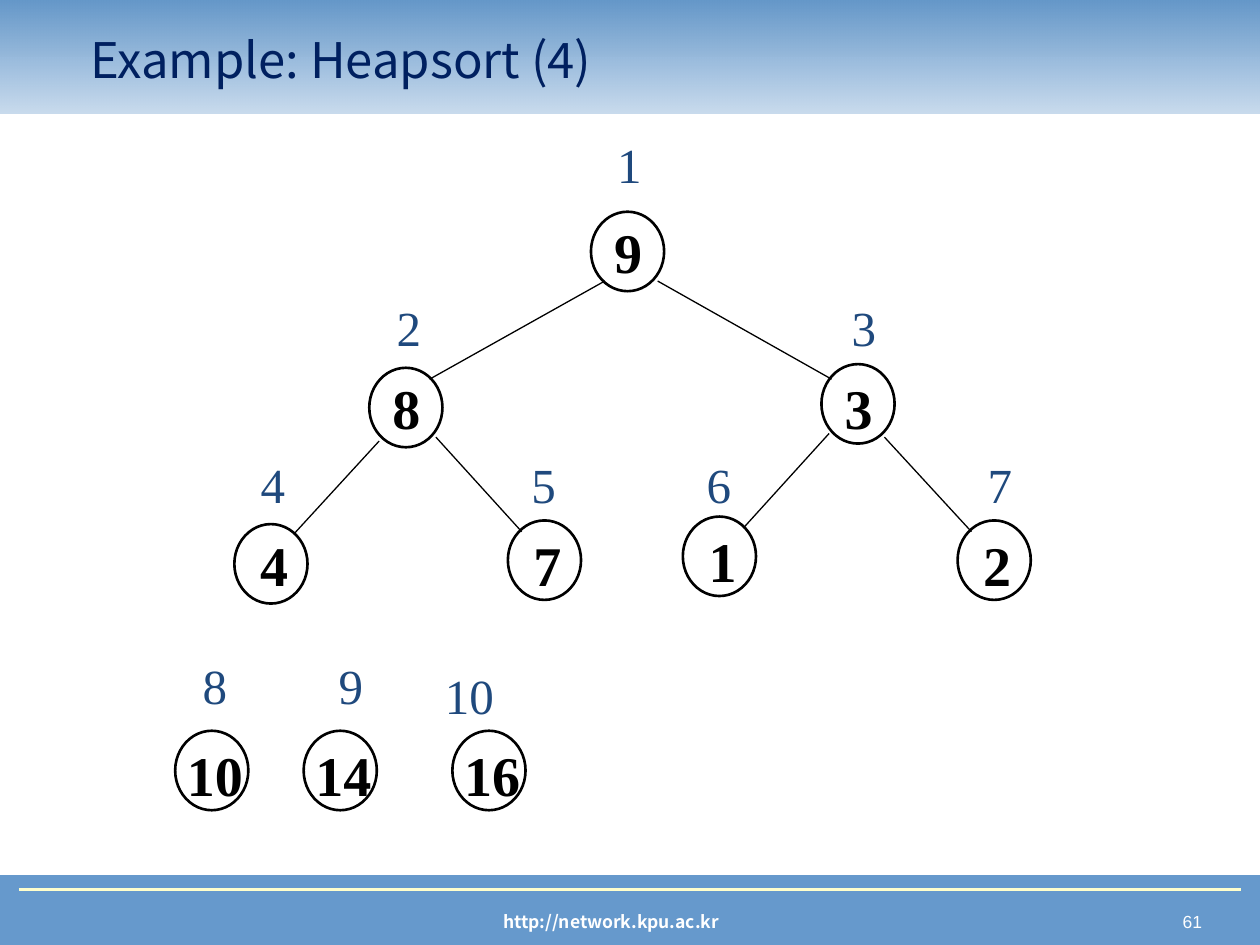
import pptx
import pptx.dml.color
import pptx.enum.shapes
import pptx.enum.text
import pptx.oxml.ns
import pptx.util
from lxml import etree

Pt = pptx.util.Pt
ALIGN = pptx.enum.text.PP_ALIGN
ANCHOR = pptx.enum.text.MSO_ANCHOR
SHAPE = pptx.enum.shapes.MSO_SHAPE
qn = pptx.oxml.ns.qn

COLORS = {
    "footer": "6699CC",
    "rule": "FFFFCC",
    "header": "6497C9",
    "title": "002060",
    "index": "1F497D",
    "ink": "000000",
    "white": "FFFFFF",
}
SANS, SERIF, ARIAL = "Noto Sans CJK KR", "Times New Roman", "Arial"
NODE_W, NODE_H = 41.8, 45.4
KEY_W, KEY_H = 56.9, 46.1
INDEX_H, DIGIT_W, INDEX_PAD = 41, 14, 16

NODES = [
    ("9", 337.7, 121, 330.5, 121, 359.6, 73.4),
    ("8", 211, 210.2, 203.8, 210.2, 233.6, 166.3),
    ("3", 469.4, 208.1, 462.2, 210.2, 493.6, 166.3),
    ("4", 133.9, 299.5, 128.2, 299.5, 155.9, 256.3),
    ("7", 290.2, 297.4, 284.4, 299.5, 310.7, 256.3),
    ("1", 390.2, 295.2, 384.5, 297.4, 410.8, 256.3),
    ("2", 547.2, 297.4, 541.4, 299.5, 571.3, 256.3),
    ("10", 100.1, 417.6, 94.3, 419.8, 122.8, 370.8),
    ("14", 173.5, 417.6, 167.8, 419.8, 200.5, 370.8),
    ("16", 258.5, 417.6, 252.7, 419.8, 268.2, 376.6),
]
EDGES = [
    (345.6, 160.6, 245.5, 216.7),
    (375.8, 160.6, 475.2, 216.7),
    (216.7, 252, 167.8, 305.3),
    (249.1, 249.8, 298.1, 303.8),
    (473.8, 247.7, 424.8, 301.7),
    (505.4, 249.8, 555.1, 303.8),
]


def rgb(name):
    return pptx.dml.color.RGBColor.from_string(COLORS[name])


def add_text(slide, text, box, font, size, color, align=ALIGN.CENTER, bold=False,
             wrap=True, anchor=ANCHOR.TOP, right=7.2):
    frame = slide.shapes.add_textbox(*map(Pt, box)).text_frame
    frame.word_wrap = wrap
    frame.vertical_anchor = anchor
    frame.margin_right = Pt(right)
    frame.text = text
    line = frame.paragraphs[0]
    line.alignment = align
    style = line.runs[0].font
    style.name, style.size, style.bold = font, Pt(size), bold
    style.color.rgb = rgb(color)


def add_line(slide, ends, color, width):
    edge = slide.shapes.add_connector(
        pptx.enum.shapes.MSO_CONNECTOR.STRAIGHT, *map(Pt, ends))
    edge.line.color.rgb = rgb(color)
    edge.line.width = Pt(width)
    etree.SubElement(edge._element.spPr, qn("a:effectLst"))


def add_bands(slide):
    footer = slide.shapes.add_shape(SHAPE.RECTANGLE, Pt(0), Pt(500.4), Pt(720), Pt(39.6))
    footer.shadow.inherit = False
    footer.fill.solid()
    footer.fill.fore_color.rgb = rgb("footer")
    footer.line.color.rgb = rgb("footer")
    footer.line.width = Pt(0.75)

    header = slide.shapes.add_shape(SHAPE.RECTANGLE, Pt(-0.5), Pt(0), Pt(720.5), Pt(64.8))
    header.shadow.inherit = False
    header.line.fill.background()
    header.fill.gradient()
    header.fill.gradient_angle = 90
    for stop, color in zip(header.fill.gradient_stops, ("footer", "header")):
        stop.color.rgb = rgb(color)
    faded = header._element.xpath(".//a:gs[1]/a:srgbClr")[0]
    etree.SubElement(faded, qn("a:alpha")).set("val", "35000")


def add_node(slide, left, top):
    circle = slide.shapes.add_shape(SHAPE.OVAL, Pt(left), Pt(top), Pt(NODE_W), Pt(NODE_H))
    circle.shadow.inherit = False
    circle.fill.background()
    circle.line.color.rgb = rgb("ink")
    circle.line.width = Pt(1.5)


def add_heap(slide):
    for ends in EDGES:
        add_line(slide, ends, "ink", 0.75)
    for index, (key, left, top, key_left, key_top, center, index_top) in enumerate(NODES, 1):
        add_node(slide, left, top)
        add_text(slide, key, (key_left, key_top, KEY_W, KEY_H), SERIF, 32, "ink", bold=True)
        width = INDEX_PAD + DIGIT_W * len(str(index))
        add_text(slide, str(index), (center - width / 2, index_top, width, INDEX_H),
                 SERIF, 28, "index", wrap=False)


def main():
    deck = pptx.Presentation()
    deck.slide_width, deck.slide_height = Pt(720), Pt(540)
    slide = deck.slides.add_slide(deck.slide_layouts[6])
    add_bands(slide)
    add_line(slide, (10.8, 508.3, 709.2, 508.3), "rule", 1.5)
    add_text(slide, "61", (534.2, 517, 162.7, 19.4), ARIAL, 10, "white",
             align=ALIGN.RIGHT, right=10)
    add_text(slide, "http://network.kpu.ac.kr", (163.4, 517, 371.5, 19.4), SANS, 10,
             "white", bold=True)
    add_text(slide, "Example: Heapsort (4)", (44.6, 11.5, 607.7, 44.6), SANS, 28,
             "title", align=ALIGN.LEFT, anchor=ANCHOR.MIDDLE)
    add_heap(slide)
    deck.save("out.pptx")


if __name__ == "__main__":
    main()
